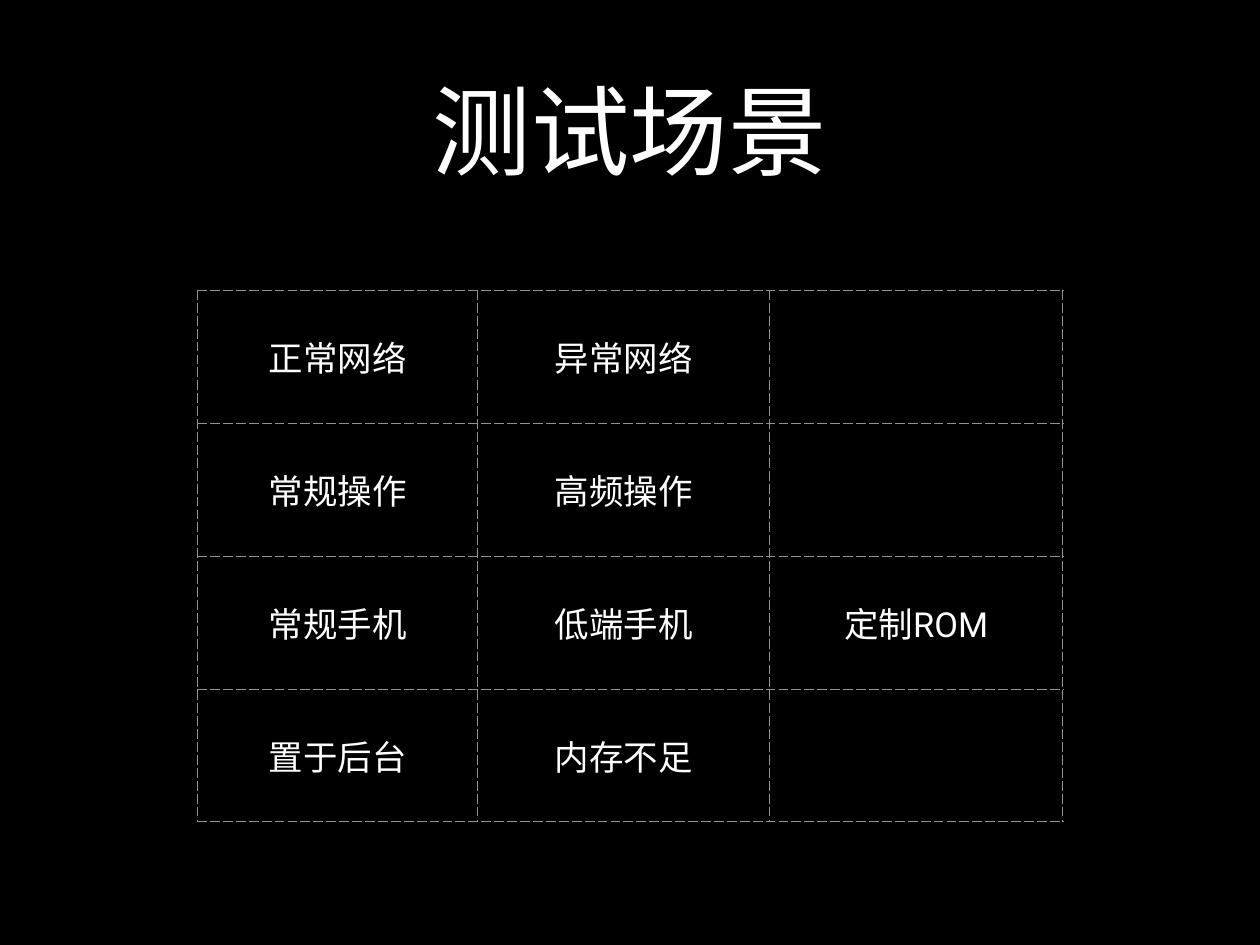
from dataclasses import dataclass

from lxml import etree
from pptx import Presentation
from pptx import util as u
from pptx.dml.color import RGBColor
from pptx.enum import text
from pptx.oxml.ns import qn

SLIDE_W, SLIDE_H = 14.22, 10.67


@dataclass(frozen=True)
class Theme:
    background: str = "000000"
    ink: str = "FFFFFF"
    rule: str = "929292"
    font: str = "Roboto"
    title_size: int = 80
    cell_size: int = 28
    inset: float = 0.06


THEME = Theme()
SCENARIOS = [
    ["正常网络", "异常网络", ""],
    ["常规操作", "高频操作", ""],
    ["常规手机", "低端手机", "定制ROM"],
    ["置于后台", "内存不足", ""],
]
COLUMN_WIDTHS = [3.16, 3.3, 3.3]


def write(paragraph, words, size):
    """Set centred words in the theme's font."""
    paragraph.alignment = text.PP_ALIGN.CENTER
    run = paragraph.add_run()
    run.text = words
    for name, value in {"name": THEME.font, "size": u.Pt(size)}.items():
        setattr(run.font, name, value)
    run.font.color.rgb = RGBColor.from_string(THEME.ink)


def set_insets(holder):
    for side in ("left", "right", "top", "bottom"):
        setattr(holder, f"margin_{side}", u.Inches(THEME.inset))


def add_dashed_borders(cell):
    properties = cell._tc.get_or_add_tcPr()
    for side in ("lnL", "lnR", "lnT", "lnB"):
        line = etree.SubElement(properties, qn(f"a:{side}"), w=str(u.Pt(1)))
        fill = etree.SubElement(line, qn("a:solidFill"))
        etree.SubElement(fill, qn("a:srgbClr"), val=THEME.rule)
        etree.SubElement(line, qn("a:prstDash"), val="dash")


def add_title(slide, box, words):
    frame = slide.shapes.add_textbox(*box).text_frame
    frame.word_wrap = True
    frame.vertical_anchor = text.MSO_ANCHOR.MIDDLE
    set_insets(frame)
    write(frame.paragraphs[0], words, THEME.title_size)


def add_scenario_table(slide, box, scenarios):
    left, top, width, height = box
    table = slide.shapes.add_table(
        len(scenarios), len(COLUMN_WIDTHS), left, top, width, height).table
    table.first_row = table.horz_banding = False

    # Columns share the box in proportion, rows equally
    for column, share in zip(table.columns, COLUMN_WIDTHS):
        column.width = int(width * share / sum(COLUMN_WIDTHS))
    for row, scenario_row in zip(table.rows, scenarios):
        row.height = int(height / len(scenarios))
        for cell, scenario in zip(row.cells, scenario_row):
            set_insets(cell)
            cell.vertical_anchor = text.MSO_ANCHOR.MIDDLE
            add_dashed_borders(cell)
            cell.fill.background()
            if scenario:
                write(cell.text_frame.paragraphs[0], scenario, THEME.cell_size)


def inches(*lengths):
    return [u.Inches(length) for length in lengths]


def main():
    deck = Presentation()
    deck.slide_width, deck.slide_height = inches(SLIDE_W, SLIDE_H)
    slide = deck.slides.add_slide(deck.slide_layouts[6])
    slide.background.fill.solid()
    slide.background.fill.fore_color.rgb = RGBColor.from_string(THEME.background)

    # Title and table are both centred across the slide
    title_w, table_w = 12.14, sum(COLUMN_WIDTHS)
    add_title(slide, inches((SLIDE_W - title_w) / 2, 0.28, title_w, 2.36), "测试场景")
    add_scenario_table(
        slide, inches((SLIDE_W - table_w) / 2, 3.28, table_w, 6), SCENARIOS)

    deck.save("out.pptx")


if __name__ == "__main__":
    main()
